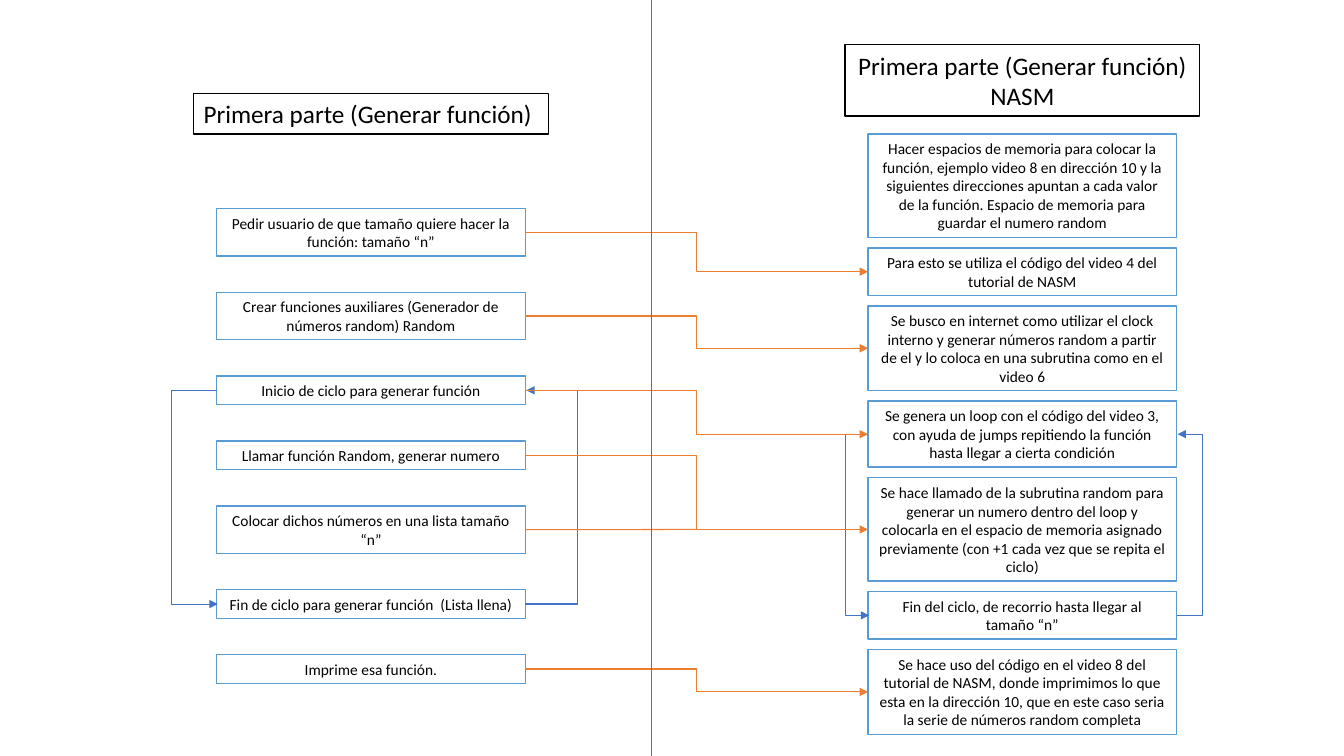
"""Build a slide that links the steps of a program to their NASM counterparts."""
import pptx
import pptx.util
import pptx.dml.color
import pptx.enum.shapes
import pptx.enum.text
import pptx.oxml.ns
import lxml.etree

Inches = pptx.util.Inches
RGBColor = pptx.dml.color.RGBColor
CONNECTOR = pptx.enum.shapes.MSO_CONNECTOR
ALIGN = pptx.enum.text.PP_ALIGN

WHITE = RGBColor(0xFF, 0xFF, 0xFF)
BLACK = RGBColor(0, 0, 0)
LIGHT_BLUE = RGBColor(0x5B, 0x9B, 0xD5)
BLUE = RGBColor(0x44, 0x72, 0xC4)
ORANGE = RGBColor(0xED, 0x7D, 0x31)

PROGRAM_STEPS = [
    ("Pedir usuario de que tamaño quiere hacer la función: tamaño “n”", 2),
    ("Crear funciones auxiliares (Generador de números random) Random", 2),
    ("Inicio de ciclo para generar función", 1),
    ("Llamar función Random, generar numero", 1),
    ("Colocar dichos números en una lista tamaño “n”", 2),
    ("Fin de ciclo para generar función  (Lista llena)", 1),
    ("Imprime esa función.", 1),
]
NASM_STEPS = [
    ("Hacer espacios de memoria para colocar la función, ejemplo video 8 en dirección 10 "
     "y la siguientes direcciones apuntan a cada valor de la función. Espacio de memoria "
     "para guardar el numero random", 5),
    ("Para esto se utiliza el código del video 4 del tutorial de NASM", 2),
    ("Se busco en internet como utilizar el clock interno y generar números random a partir "
     "de el y lo coloca en una subrutina como en el video 6", 4),
    ("Se genera un loop con el código del video 3, con ayuda de jumps repitiendo la función "
     "hasta llegar a cierta condición", 3),
    ("Se hace llamado de la subrutina random para generar un numero dentro del loop y "
     "colocarla en el espacio de memoria asignado previamente (con +1 cada vez que se "
     "repita el ciclo)", 5),
    ("Fin del ciclo, de recorrio hasta llegar al tamaño “n”", 2),
    ("Se hace uso del código en el video 8 del tutorial de NASM, donde imprimimos lo que "
     "esta en la dirección 10, que en este caso seria la serie de números random completa", 4),
]
TITLES = [
    ("Primera parte (Generar función)", 1.92, 0.93, 0.4, ALIGN.LEFT),
    ("Primera parte (Generar función) NASM", 8.38, 0.44, 0.71, ALIGN.CENTER),
]
LINKS = [(0, 1), (1, 2), (2, 3), (3, 4), (6, 6)]

STEP_W, TITLE_W = 3.06, 3.52
LINE_H, PADDING = 0.185, 0.1
DIVIDER_X, BEND_X = 6.46, 6.92
LOOP_W = 0.01

prs = pptx.Presentation()
prs.slide_width, prs.slide_height = Inches(13.33), Inches(7.5)
s = prs.slides.add_slide(prs.slide_layouts[6])


def add_box(text, left, top, width, height, size=11, line=LIGHT_BLUE, align=ALIGN.CENTER):
    sp = s.shapes.add_shape(pptx.enum.shapes.MSO_SHAPE.RECTANGLE, Inches(left),
                            Inches(top), Inches(width), Inches(height))
    sp.shadow.inherit = False
    sp.fill.solid()
    sp.fill.fore_color.rgb = WHITE
    sp.line.color.rgb = line
    sp.line.width = pptx.util.Pt(1)
    tf = sp.text_frame
    tf.word_wrap = True
    tf.auto_size = pptx.enum.text.MSO_AUTO_SIZE.SHAPE_TO_FIT_TEXT
    p = tf.paragraphs[0]
    p.alignment = align
    r = p.add_run()
    r.text = text
    r.font.size = pptx.util.Pt(size)
    r.font.name = "Calibri"
    r.font.color.rgb = BLACK
    return sp


def add_column(steps, left, top, gap):
    boxes = []
    for text, lines in steps:
        height = PADDING + LINE_H * lines
        boxes.append(add_box(text, left, top, STEP_W, height))
        top += height + gap
    return boxes


def add_line(kind, x1, y1, x2, y2, color, arrow=True):
    cx = s.shapes.add_connector(kind, x1, y1, x2, y2)
    cx.line.color.rgb = color
    cx.line.width = pptx.util.Pt(0.75)
    qn = pptx.oxml.ns.qn
    if arrow:
        lxml.etree.SubElement(cx.line._get_or_add_ln(), qn("a:tailEnd"), type="triangle")
    lxml.etree.SubElement(cx._element.spPr, qn("a:effectLst"))
    return cx


def add_loop(x, first, last, reach):
    y1, y2 = (box.top + box.height // 2 for box in (first, last))
    cx = add_line(CONNECTOR.ELBOW, x, y1, x + Inches(LOOP_W), y2, BLUE)
    qn = pptx.oxml.ns.qn
    guides = cx._element.spPr.find(qn("a:prstGeom")).get_or_add_avLst()
    lxml.etree.SubElement(guides, qn("a:gd"), name="adj1",
                          fmla=f"val {round(reach / LOOP_W * 100000)}")


program = add_column(PROGRAM_STEPS, 2.15, 2.07, 0.36)
nasm = add_column(NASM_STEPS, 8.61, 1.33, 0.105)
for text, left, top, height, align in TITLES:
    add_box(text, left, top, TITLE_W, height, size=18, line=BLACK, align=align)

for boxes, start, end, left_reach, right_reach in [(program, 2, 5, -0.46, 0.53),
                                                   (nasm, 3, 5, -0.23, 0.26)]:
    first, last = boxes[start], boxes[end]
    add_loop(first.left, first, last, left_reach)
    add_loop(first.left + first.width, last, first, right_reach)

for i, j in LINKS:
    cx = add_line(CONNECTOR.ELBOW, 0, 0, Inches(1), Inches(1), ORANGE)
    cx.begin_connect(program[i], 3)
    cx.end_connect(nasm[j], 1)

bend_y = nasm[4].top + nasm[4].height // 2
cx = add_line(CONNECTOR.STRAIGHT, 0, bend_y, Inches(BEND_X), bend_y, ORANGE, arrow=False)
cx.begin_connect(program[4], 3)
add_line(CONNECTOR.STRAIGHT, Inches(DIVIDER_X), 0, Inches(DIVIDER_X), prs.slide_height,
         BLUE, arrow=False)

prs.save("out.pptx")
